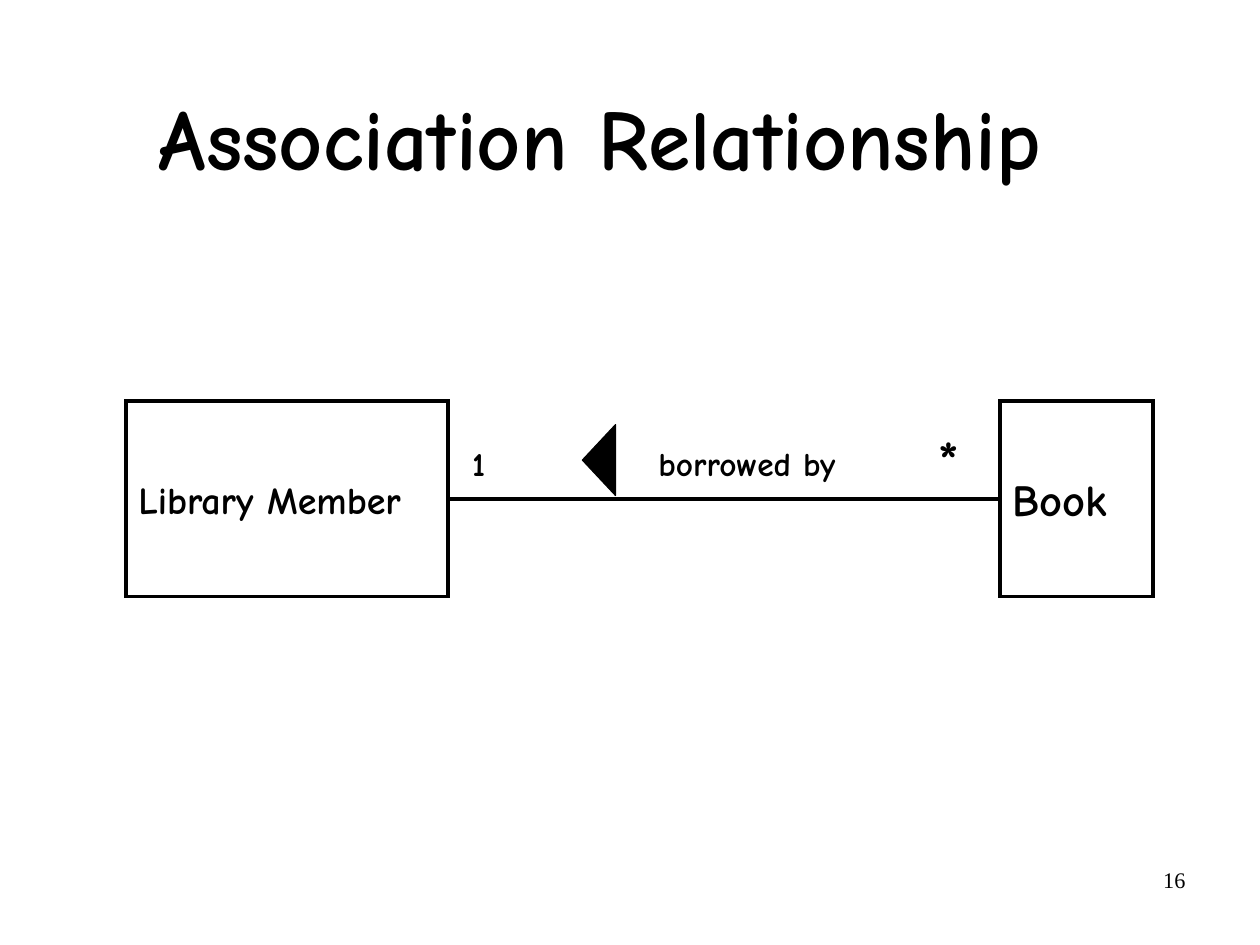
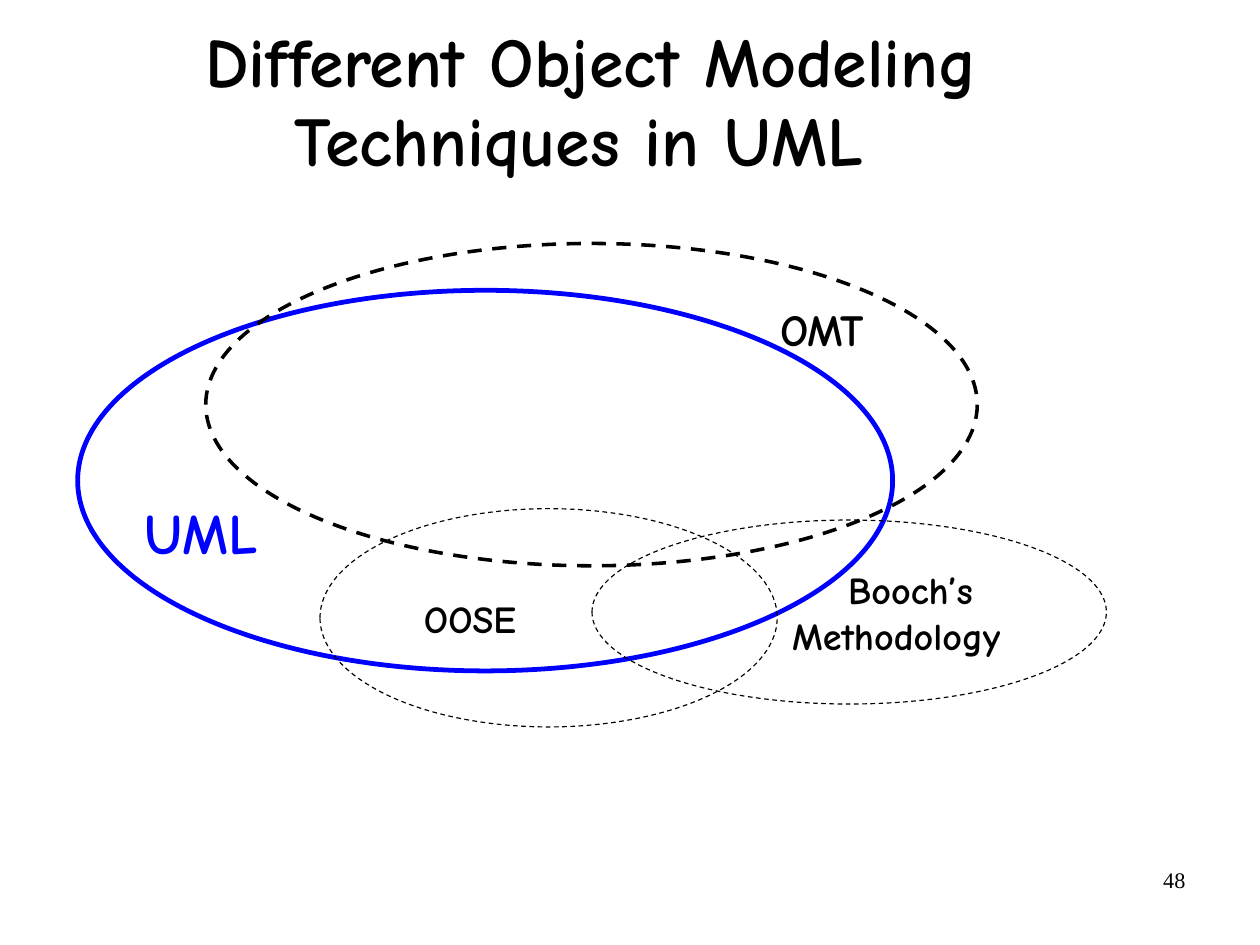
from dataclasses import dataclass

from lxml.etree import SubElement
from pptx import Presentation
from pptx.dml.color import RGBColor
from pptx.enum.dml import MSO_LINE
from pptx.enum.shapes import MSO_CONNECTOR, MSO_SHAPE
from pptx.enum.text import MSO_ANCHOR, MSO_AUTO_SIZE, PP_ALIGN
from pptx.oxml.ns import qn
from pptx.util import Emu, Mm, Pt

EMU_PER_PX = 9144  # 100 px to the inch


def px(length):
    return Emu(length * EMU_PER_PX)


@dataclass(frozen=True)
class Theme:
    ink: RGBColor = RGBColor(0, 0, 0)
    accent: RGBColor = RGBColor(0, 0, 255)
    font: str = "Comic Neue"
    number_font: str = "Times New Roman"
    title: int = 54
    long_title: int = 44
    headline: int = 36
    star: int = 34
    large: int = 28
    body: int = 24
    small: int = 21
    number: int = 14
    hairline: float = 0.75
    line: float = 2.25
    bold_line: float = 3


class Deck:
    NO_INSET = (0, 0)
    INSET = (11, 6)

    def __init__(self, theme):
        self.theme = theme
        self.prs = Presentation()
        # The page is 280 by 210 mm
        self.prs.slide_width, self.prs.slide_height = Mm(280), Mm(210)
        self.slide = None

    def new_slide(self, title, box, size, number):
        self.slide = self.prs.slides.add_slide(self.prs.slide_layouts[5])
        heading = self.slide.shapes.title
        heading.left, heading.top, heading.width, heading.height = map(px, box)
        self._frame(heading, (2, 6), True, MSO_ANCHOR.MIDDLE)
        paragraph = self._write(heading, [title], size)[0]
        paragraph.alignment = PP_ALIGN.CENTER
        paragraph.line_spacing = 0.94
        paragraph.space_before = Pt(13.6)
        # Page number
        page = self.slide.shapes.add_textbox(*map(px, (790, 753, 257, 57)))
        self._frame(page, (10, 5), True)
        digits = self._write(page, [number], self.theme.number,
                             font=self.theme.number_font, bold=False)[0]
        digits.alignment = PP_ALIGN.RIGHT

    def _frame(self, shape, inset, wrap, anchor=MSO_ANCHOR.TOP):
        frame = shape.text_frame
        frame.margin_left = frame.margin_right = px(inset[0])
        frame.margin_top = frame.margin_bottom = px(inset[1])
        frame.word_wrap = wrap
        frame.auto_size = MSO_AUTO_SIZE.NONE
        frame.vertical_anchor = anchor

    def _write(self, shape, lines, size, color=None, font=None, bold=True):
        frame = shape.text_frame
        for index, line in enumerate(lines):
            paragraph = frame.add_paragraph() if index else frame.paragraphs[0]
            paragraph.alignment = PP_ALIGN.LEFT
            run = paragraph.add_run()
            run.text = line
            run.font.name = font or self.theme.font
            run.font.size = Pt(size)
            run.font.bold = bold
            run.font.color.rgb = color or self.theme.ink
        return frame.paragraphs

    def outline(self, kind, box, weight, color=None, dash=None):
        shape = self.slide.shapes.add_shape(kind, *map(px, box))
        shape.shadow.inherit = False
        shape.fill.background()
        shape.line.color.rgb = color or self.theme.ink
        shape.line.width = Pt(weight)
        if dash:
            shape.line.dash_style = dash
        return shape

    def class_box(self, name, box, size):
        shape = self.outline(MSO_SHAPE.RECTANGLE, box, self.theme.line)
        # Sharp corners
        SubElement(shape._element.spPr.find(qn("a:ln")), qn("a:miter"), lim="800000")
        self._frame(shape, self.INSET, True, MSO_ANCHOR.MIDDLE)
        self._write(shape, [name], size)
        return shape

    def association(self, source, target):
        link = self.slide.shapes.add_connector(MSO_CONNECTOR.STRAIGHT, 0, 0, 0, 0)
        link.begin_connect(source, 3)
        link.end_connect(target, 1)
        link.line.color.rgb = self.theme.ink
        link.line.width = Pt(self.theme.line)
        SubElement(link._element.spPr, qn("a:effectLst"))

    def reading_arrow(self, box):
        arrow = self.outline(MSO_SHAPE.ISOSCELES_TRIANGLE, box, self.theme.hairline)
        arrow.fill.solid()
        arrow.fill.fore_color.rgb = self.theme.ink
        arrow.rotation = 270

    def label(self, lines, box, size, inset=NO_INSET, color=None, wrap=False):
        caption = self.slide.shapes.add_textbox(*map(px, box))
        self._frame(caption, inset, wrap)
        return self._write(caption, lines, size, color)


def association_slide(deck):
    theme = deck.theme
    deck.new_slide(" Association Relationship", (43, 34, 937, 180), theme.title, "16")

    # Classes and their association
    top, height = 351, 171
    member = deck.class_box("Library Member", (110, top, 282, height), theme.body)
    book = deck.class_box("Book", (875, top, 134, height), theme.large)
    deck.association(member, book)

    # Reading direction, multiplicities and name
    deck.reading_arrow((493, 388, 62, 29))
    deck.label(["1"], (413, 388, 12, 35), theme.small)
    deck.label(["*"], (821, 372, 18, 57), theme.star)
    deck.label(["borrowed by"], (576, 388, 208, 35), theme.small, wrap=True)


def techniques_slide(deck):
    theme = deck.theme
    deck.new_slide("Different Object Modeling Techniques in UML ",
                   (49, 16, 937, 149), theme.long_title, "48")

    # Overlapping techniques
    for box, weight, color, dash in (
        ((68, 254, 713, 333), theme.bold_line, theme.accent, None),
        ((180, 213, 675, 282), theme.line, theme.ink, MSO_LINE.DASH),
        ((518, 455, 450, 161), theme.hairline, theme.ink, MSO_LINE.DASH),
        ((280, 445, 400, 191), theme.hairline, theme.ink, MSO_LINE.DASH),
    ):
        deck.outline(MSO_SHAPE.OVAL, box, weight, color, dash)

    # Technique names
    deck.label(["UML"], (115, 429, 122, 71), theme.headline, deck.INSET, theme.accent)
    booch = deck.label(["Booch’s", "Methodology"], (693, 496, 325, 80),
                       theme.body, wrap=True)
    booch[0]._p.get_or_add_pPr().set("indent", str(px(49)))
    deck.label(["OOSE"], (360, 515, 103, 51), theme.body, deck.INSET)
    deck.label(["OMT"], (672, 258, 99, 58), theme.large, deck.INSET)


def main():
    deck = Deck(Theme())
    association_slide(deck)
    techniques_slide(deck)
    deck.prs.save("out.pptx")


if __name__ == "__main__":
    main()
